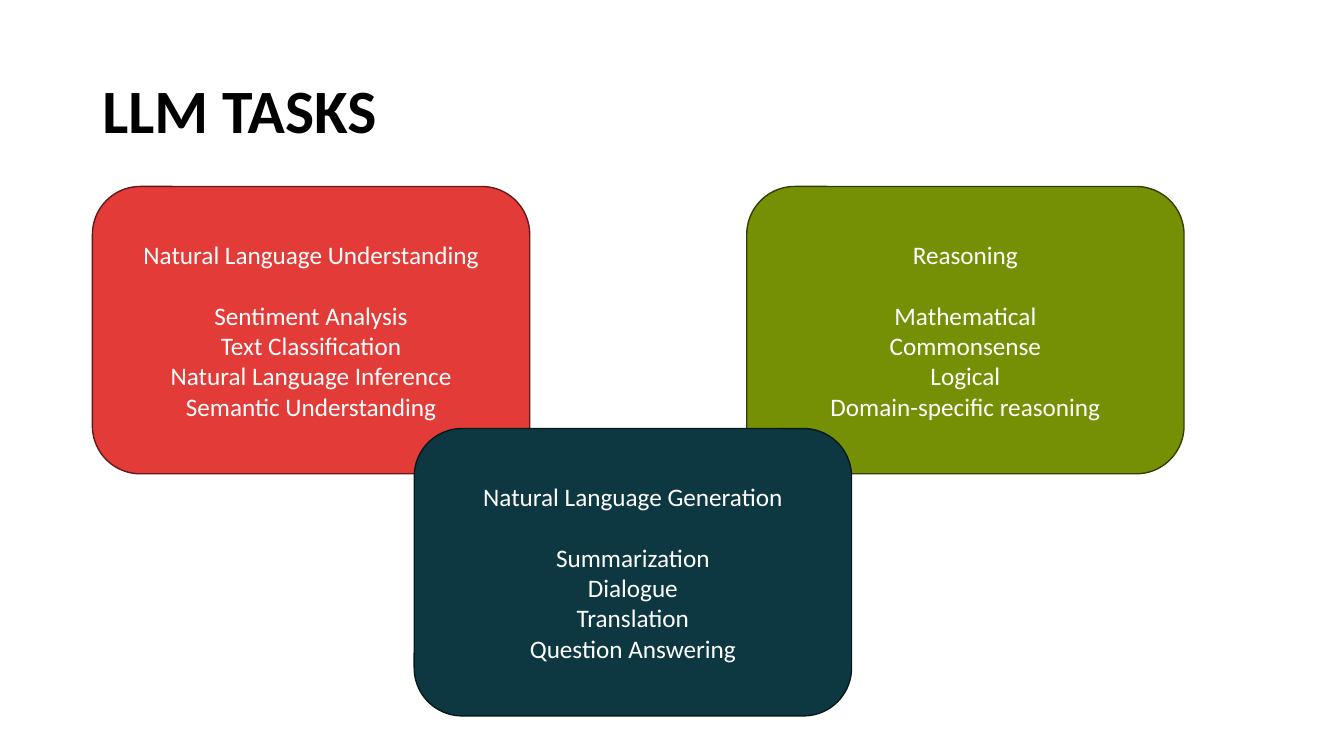
from pptx import Presentation
from pptx.dml.color import RGBColor
from pptx.enum.shapes import MSO_SHAPE
from pptx.enum.text import MSO_ANCHOR, PP_ALIGN
from pptx.util import Cm, Pt

ROUNDED = MSO_SHAPE.ROUNDED_RECTANGLE
MIDDLE = MSO_ANCHOR.MIDDLE
LEFT, CENTER = PP_ALIGN.LEFT, PP_ALIGN.CENTER

TITLE_FONT = {"name": "Calibri", "size": Pt(44), "bold": True}
CARD_FONT = {"name": "Calibri", "size": Pt(18), "bold": False}
TITLE_PARAGRAPH = {"alignment": LEFT, "line_spacing": 0.9}
HEADING_PARAGRAPH = {"alignment": CENTER, "space_after": Pt(22)}
TASK_PARAGRAPH = {"alignment": CENTER}

MARGIN = 2.33
CARD_WIDTH, CARD_HEIGHT = 11.02, 7.24
UPPER_TOP, LOWER_TOP = 4.7, 10.8

# Left, top, fill, outline, heading, tasks; later cards lie in front.
CARDS = [
    (MARGIN, UPPER_TOP, "E23B38", "631A19", "Natural Language Understanding",
     ["Sentiment Analysis", "Text Classification",
      "Natural Language Inference", "Semantic Understanding"]),
    (18.82, UPPER_TOP, "759005", "333F02", "Reasoning",
     ["Mathematical", "Commonsense", "Logical", "Domain-specific reasoning"]),
    (10.44, LOWER_TOP, "0D3841", "06191C", "Natural Language Generation",
     ["Summarization", "Dialogue", "Translation", "Question Answering"]),
]


def color(hex_string):
    """Return the colour for a hex string."""
    return RGBColor.from_string(hex_string)


def apply_format(target, values):
    """Set every attribute named in values on target."""
    for name, value in values.items():
        setattr(target, name, value)


def write_paragraph(paragraph, text, paragraph_format, font_format, text_color):
    """Fill one paragraph with a formatted run."""
    apply_format(paragraph, paragraph_format)
    run = paragraph.add_run()
    run.text = text
    apply_format(run.font, font_format)
    run.font.color.rgb = color(text_color)


def add_title(slide, box, text):
    """Place the slide title in box (left, top, width, height in cm)."""
    frame = slide.shapes.add_textbox(*map(Cm, box)).text_frame
    apply_format(frame, {"word_wrap": True, "vertical_anchor": MIDDLE})
    write_paragraph(frame.paragraphs[0], text, TITLE_PARAGRAPH, TITLE_FONT, "000000")


def add_card(slide, box, fill, outline, heading, tasks):
    """Place a rounded card with a heading and its tasks in box (cm)."""
    card = slide.shapes.add_shape(ROUNDED, *map(Cm, box))
    card.shadow.inherit = False
    card.fill.solid()
    card.fill.fore_color.rgb = color(fill)
    card.line.color.rgb = color(outline)
    card.line.width = Pt(1)
    frame = card.text_frame
    apply_format(frame, {"word_wrap": True, "vertical_anchor": MIDDLE})
    write_paragraph(frame.paragraphs[0], heading, HEADING_PARAGRAPH, CARD_FONT, "FFFFFF")
    for task in tasks:
        write_paragraph(frame.add_paragraph(), task, TASK_PARAGRAPH, CARD_FONT, "FFFFFF")


def build_tasks_slide(presentation):
    """Add the slide with the title and the three task cards."""
    slide = presentation.slides.add_slide(presentation.slide_layouts[6])
    add_title(slide, (MARGIN, 1.01, 29.21, 3.68), "LLM TASKS")
    for left, top, *content in CARDS:
        add_card(slide, (left, top, CARD_WIDTH, CARD_HEIGHT), *content)


presentation = Presentation()
presentation.slide_width = Cm(33.87)
presentation.slide_height = Cm(19.05)
build_tasks_slide(presentation)
presentation.save("out.pptx")
